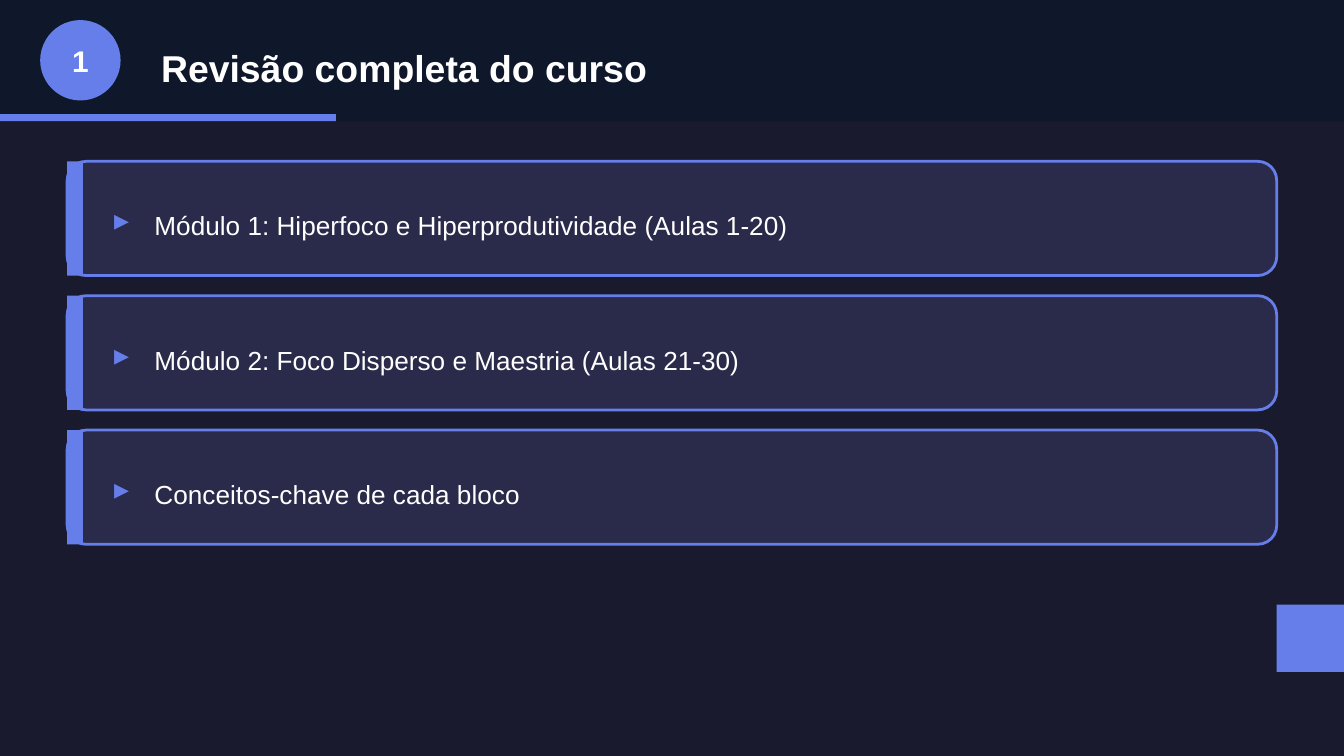
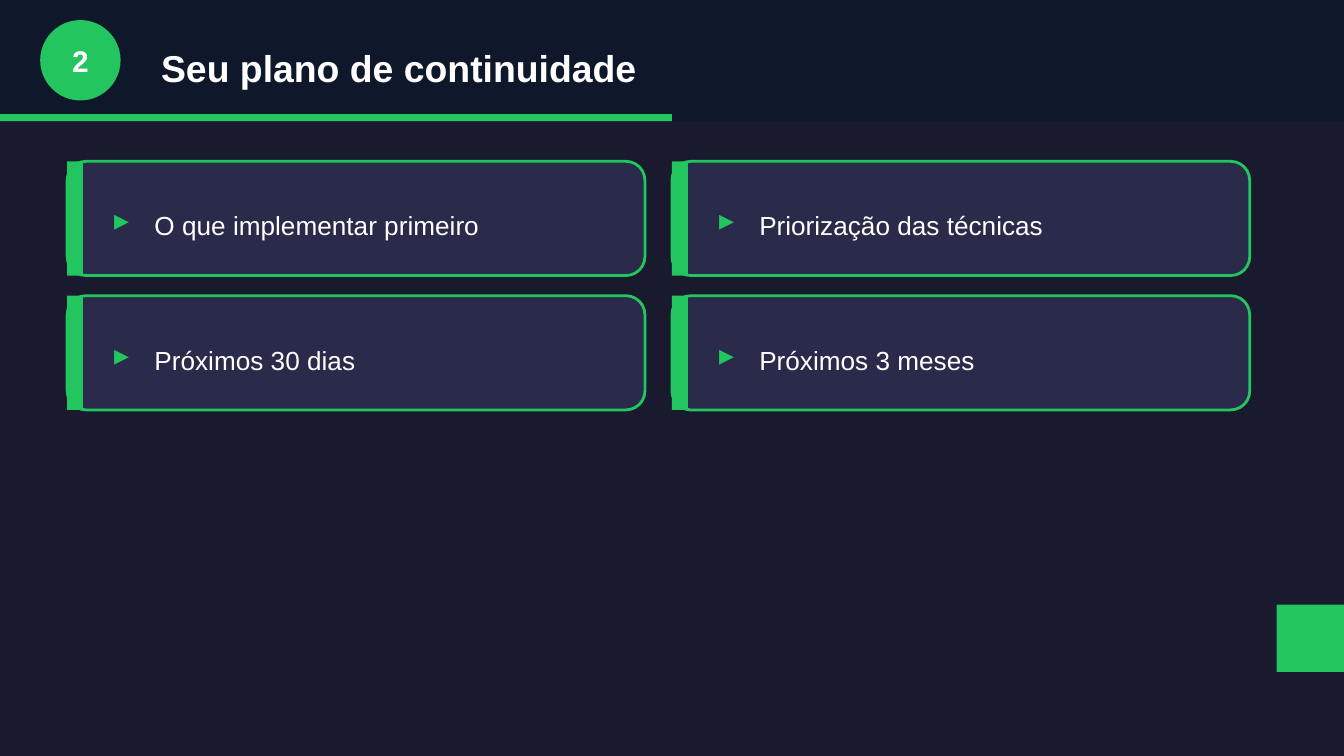
from pptx import Presentation
from pptx.dml.color import RGBColor
from pptx.enum import shapes, text
from pptx.util import Cm, Pt

COLOURS = {
    "background": "1A1A2E",
    "header": "0F172A",
    "card": "2A2A4A",
    "text": "FFFFFF",
    "review": "667EEA",
    "plan": "22C55E",
}
STYLES = {
    "title": {"name": "Arial", "size": Pt(20), "bold": True},
    "marker": {"name": "Arial", "size": Pt(16), "bold": True},
    "item": {"name": "Arial", "size": Pt(14), "bold": False},
}
FRAME = {
    "word_wrap": True,
    "auto_size": text.MSO_AUTO_SIZE.NONE,
    "vertical_anchor": text.MSO_ANCHOR.MIDDLE,
}
SLIDE_WIDTH, SLIDE_HEIGHT = 25.4, 14.29
HEADER_HEIGHT, STRIPE_HEIGHT = 2.29, 0.13
CARD_LEFT, CARD_TOP, CARD_HEIGHT = 1.27, 3.05, 2.16
COLUMN_STEP, ROW_STEP = 11.43, 2.54
CORNER_SIZE = 1.27
PROGRESS_STEPS = 4

TOPICS = [
    {
        "title": "Revisão completa do curso",
        "accent": "review",
        "columns": 1,
        "card_width": 22.86,
        "items": [
            "Módulo 1: Hiperfoco e Hiperprodutividade (Aulas 1-20)",
            "Módulo 2: Foco Disperso e Maestria (Aulas 21-30)",
            "Conceitos-chave de cada bloco",
        ],
    },
    {
        "title": "Seu plano de continuidade",
        "accent": "plan",
        "columns": 2,
        "card_width": 10.92,
        "items": [
            "O que implementar primeiro",
            "Priorização das técnicas",
            "Próximos 30 dias",
            "Próximos 3 meses",
        ],
    },
]


def colour(key):
    """Return the palette colour called key."""
    return RGBColor.from_string(COLOURS[key])


def set_values(target, values):
    """Set each attribute of target named in values."""
    for name, value in values.items():
        setattr(target, name, value)


def add_block(slide, box, fill, kind=shapes.MSO_SHAPE.RECTANGLE, outline=None):
    """Add a flat preset shape in a box given in centimetres."""
    block = slide.shapes.add_shape(kind, *map(Cm, box))
    block.shadow.inherit = False
    block.fill.solid()
    block.fill.fore_color.rgb = colour(fill)
    if outline:
        block.line.color.rgb = colour(outline)
        block.line.width = Pt(1.5)
    else:
        block.line.fill.background()


def write(shape, words, style, ink="text", align=text.PP_ALIGN.LEFT):
    """Put one styled paragraph into a shape."""
    set_values(shape.text_frame, FRAME)
    paragraph = shape.text_frame.paragraphs[0]
    paragraph.text = words
    paragraph.alignment = align
    font = paragraph.runs[0].font
    set_values(font, STYLES[style])
    font.color.rgb = colour(ink)


def add_label(slide, box, *content):
    """Add a text box in a box given in centimetres."""
    write(slide.shapes.add_textbox(*map(Cm, box)), *content)


def add_header(slide, box, number, title, accent):
    """Draw the title band with its progress stripe and number badge."""
    left, top, width, height = box
    progress = width * number / PROGRESS_STEPS
    add_block(slide, box, "header")
    add_block(slide, (left, top + height - STRIPE_HEIGHT, progress, STRIPE_HEIGHT), accent)
    add_block(slide, (left + 0.76, top + 0.38, 1.52, 1.52), accent, shapes.MSO_SHAPE.OVAL)
    add_label(slide, (left + 0.76, top + 0.64, 1.52, 1.02),
              str(number), "marker", "text", text.PP_ALIGN.CENTER)
    heading = slide.shapes.title
    place = (left + 2.79, top + 0.64, width - 3.81, 1.27)
    set_values(heading, dict(zip(("left", "top", "width", "height"), map(Cm, place))))
    write(heading, title, "title")
    heading.element.getparent().append(heading.element)


def add_card(slide, box, item, accent):
    """Draw one outlined card with an accent edge and a marked item."""
    left, top, width, height = box
    add_block(slide, box, "card", shapes.MSO_SHAPE.ROUNDED_RECTANGLE, accent)
    add_block(slide, (left, top, 0.3, height), accent)
    add_label(slide, (left + 0.64, top + 0.64, 0.76, 0.89), "▸", "marker", accent)
    add_label(slide, (left + 1.4, top + 0.64, width - 2.03, 1.14), item, "item")


def add_topic(deck, number, topic):
    """Build one topic slide with its header, card grid and corner block."""
    slide = deck.slides.add_slide(deck.slide_layouts[5])
    slide.background.fill.solid()
    slide.background.fill.fore_color.rgb = colour("background")
    accent = topic["accent"]
    add_header(slide, (0, 0, SLIDE_WIDTH, HEADER_HEIGHT), number, topic["title"], accent)
    for index, item in enumerate(topic["items"]):
        row, column = divmod(index, topic["columns"])
        box = (CARD_LEFT + column * COLUMN_STEP, CARD_TOP + row * ROW_STEP,
               topic["card_width"], CARD_HEIGHT)
        add_card(slide, box, item, accent)
    add_block(slide, (SLIDE_WIDTH - CORNER_SIZE, 11.43, CORNER_SIZE, CORNER_SIZE), accent)


def main():
    """Build and save the deck."""
    deck = Presentation()
    set_values(deck, {"slide_width": Cm(SLIDE_WIDTH), "slide_height": Cm(SLIDE_HEIGHT)})
    for number, topic in enumerate(TOPICS, 1):
        add_topic(deck, number, topic)
    deck.save("out.pptx")


if __name__ == "__main__":
    main()
